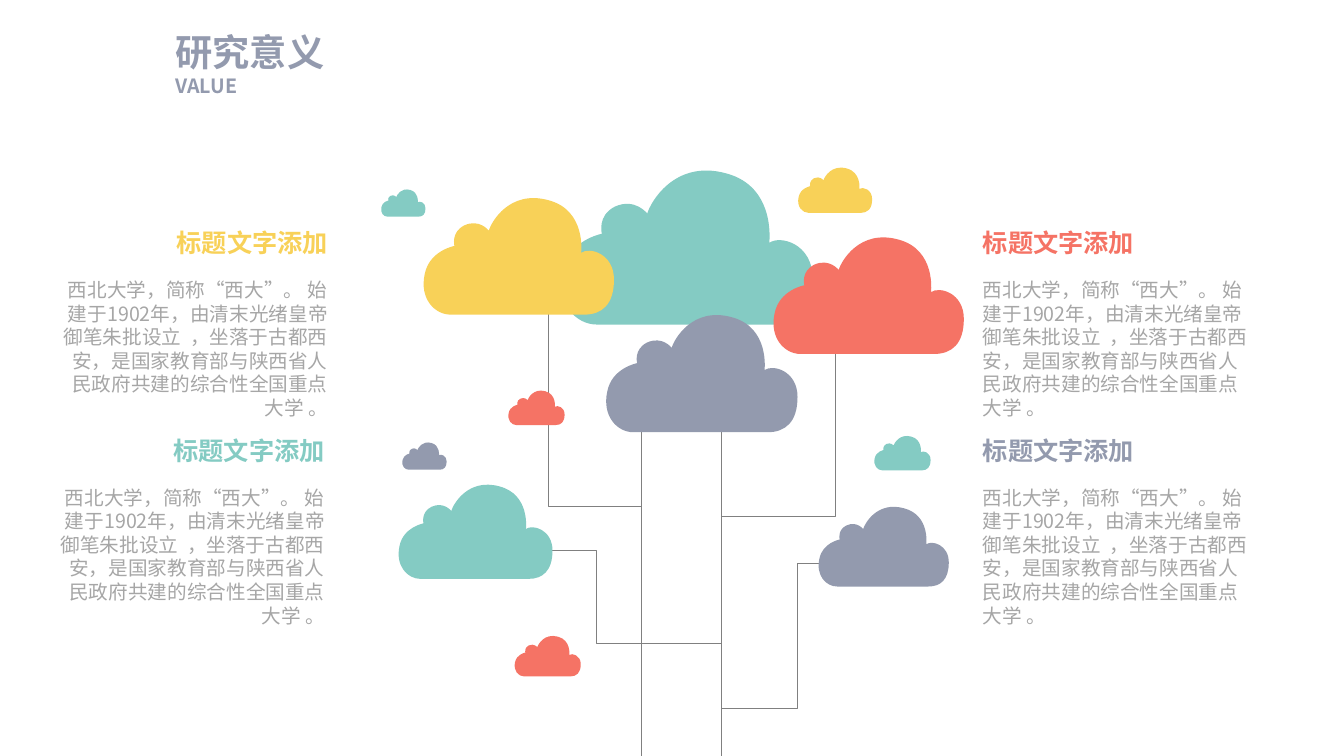
from dataclasses import dataclass

from lxml import etree
from pptx import Presentation, util as u
from pptx.dml.color import RGBColor
from pptx.enum import shapes, text
from pptx.oxml import ns

EMU_PER_PX = 9144  # 100 px to the inch
TEAL = RGBColor(0x84, 0xCB, 0xC3)
YELLOW = RGBColor(0xF8, 0xD1, 0x58)
CORAL = RGBColor(0xF5, 0x73, 0x65)
SLATE = RGBColor(0x93, 0x9A, 0xAE)
BRANCH_GRAY = RGBColor(0x80, 0x80, 0x80)
TEXT_GRAY = RGBColor(0xA6, 0xA6, 0xA6)
SANS = "Noto Sans CJK SC"
CONDENSED = "Roboto Condensed"
LINE_HEIGHT = 1.2

Point = tuple[float, float]

HEADING = "标题文字添加"
BODY = (
    "西北大学，简称“西大”。 始建于1902年，由清末光绪皇帝御笔朱批设立  ，"
    "坐落于古都西安，是国家教育部与陕西省人民政府共建的综合性全国重点大学 。"
)

# The start of a cloud, then two control points and an end point for each curve
CLOUD_WIDTH = 255
CLOUD_POINTS = [
    (41, 164),
    (68, 164), (193, 164), (216, 164),
    (239, 164), (255, 151), (255, 118),
    (255, 84), (223, 75), (212, 83),
    (212, 83), (219, 27), (169, 14),
    (118, 0), (94, 43), (91, 54),
    (91, 54), (79, 38), (59, 47),
    (41, 56), (46, 74), (46, 74),
    (46, 74), (13, 80), (7, 111),
    (0, 143), (20, 164), (41, 164),
]


@dataclass(frozen=True)
class Cloud:
    left: int
    top: int
    width: int
    color: RGBColor


@dataclass(frozen=True)
class Topic:
    left: int
    top: int
    color: RGBColor
    align: text.PP_ALIGN


TRUNK_XS = [636, 715]
TRUNK_TOP, TRUNK_BOTTOM = 421, 750
BRANCHES = [
    [(544, 289), (544, 502), (636, 502)],
    [(715, 512), (829, 512), (829, 327)],
    [(812, 559), (791, 559), (791, 703), (715, 703)],
    [(715, 638), (592, 638), (592, 546), (548, 546)],
]
CLOUDS = [
    Cloud(551, 158, 255, TEAL),
    Cloud(416, 188, 193, YELLOW),
    Cloud(790, 163, 75, YELLOW),
    Cloud(377, 186, 45, TEAL),
    Cloud(398, 437, 45, SLATE),
    Cloud(866, 430, 57, TEAL),
    Cloud(392, 474, 156, TEAL),
    Cloud(809, 497, 132, SLATE),
    Cloud(509, 628, 67, CORAL),
    Cloud(503, 385, 57, CORAL),
    Cloud(597, 304, 194, SLATE),
    Cloud(763, 227, 193, CORAL),
]
TOPICS = [
    Topic(45, 221, YELLOW, text.PP_ALIGN.RIGHT),
    Topic(42, 427, TEAL, text.PP_ALIGN.RIGHT),
    Topic(965, 221, CORAL, text.PP_ALIGN.LEFT),
    Topic(965, 427, SLATE, text.PP_ALIGN.LEFT),
]
TOPIC_WIDTH, HEADING_HEIGHT, BODY_HEIGHT = 290, 40, 151
BODY_OFFSET = 50


def px(length: float) -> u.Emu:
    return u.Emu(round(length * EMU_PER_PX))


def add_outline(slide, points: list[Point], close: bool):
    start, *rest = [(px(x), px(y)) for x, y in points]
    builder = slide.shapes.build_freeform(*start)
    builder.add_line_segments(rest, close=close)
    outline = builder.convert_to_shape()
    outline.shadow.inherit = False
    return outline


def curve_outline(outline) -> None:
    """Turn every three line segments into one cubic curve."""
    segments = list(outline._element.iter(ns.qn("a:lnTo")))
    for first, second, end in zip(segments[::3], segments[1::3], segments[2::3]):
        curve = etree.Element(ns.qn("a:cubicBezTo"))
        first.addprevious(curve)
        for segment in (first, second, end):
            curve.append(segment[0])
            segment.getparent().remove(segment)


def style_line(line) -> None:
    line.color.rgb = BRANCH_GRAY
    line.width = u.Pt(0.5)


def add_trunk(slide, x: int) -> None:
    trunk = slide.shapes.add_connector(
        shapes.MSO_CONNECTOR.STRAIGHT, px(x), px(TRUNK_TOP), px(x), px(TRUNK_BOTTOM)
    )
    style_line(trunk.line)
    etree.SubElement(trunk._element.spPr, ns.qn("a:effectLst"))


def add_branch(slide, points: list[Point]) -> None:
    branch = add_outline(slide, points, close=False)
    branch.fill.background()
    style_line(branch.line)


def add_cloud(slide, cloud: Cloud) -> None:
    scale = cloud.width / CLOUD_WIDTH
    points = [(cloud.left + x * scale, cloud.top + y * scale) for x, y in CLOUD_POINTS]
    shape = add_outline(slide, points, close=True)
    curve_outline(shape)
    shape.fill.solid()
    shape.fill.fore_color.rgb = cloud.color
    shape.line.fill.background()


def style_paragraph(
    paragraph, size: float, color: RGBColor, bold: bool, align: text.PP_ALIGN, face: str = SANS
) -> None:
    paragraph.alignment = align
    paragraph.line_spacing = u.Pt(size * LINE_HEIGHT)
    font = paragraph.font
    font.size, font.bold, font.name = u.Pt(size), bold, face
    font.color.rgb = color
    defaults = paragraph._p.pPr.find(ns.qn("a:defRPr"))
    etree.SubElement(defaults, ns.qn("a:ea"), typeface=SANS)


def add_title(slide) -> None:
    title = slide.shapes.title
    title.left, title.top, title.width, title.height = map(px, (174, 29, 149, 68))
    frame = title.text_frame
    frame.margin_left = frame.margin_top = frame.margin_right = frame.margin_bottom = 0
    frame.word_wrap = False
    frame.auto_size = text.MSO_AUTO_SIZE.NONE
    frame.vertical_anchor = text.MSO_ANCHOR.TOP
    frame.text = "研究意义\nVALUE"
    chinese, english = frame.paragraphs
    style_paragraph(chinese, 26.6, SLATE, True, text.PP_ALIGN.LEFT, CONDENSED)
    style_paragraph(english, 14, SLATE, True, text.PP_ALIGN.LEFT)


def add_topic(slide, topic: Topic) -> None:
    for words, top, height, size, color, bold in (
        (HEADING, topic.top, HEADING_HEIGHT, 18, topic.color, True),
        (BODY, topic.top + BODY_OFFSET, BODY_HEIGHT, 14, TEXT_GRAY, False),
    ):
        box = slide.shapes.add_textbox(px(topic.left), px(top), px(TOPIC_WIDTH), px(height))
        frame = box.text_frame
        frame.word_wrap = True
        frame.auto_size = text.MSO_AUTO_SIZE.SHAPE_TO_FIT_TEXT
        frame.text = words
        style_paragraph(frame.paragraphs[0], size, color, bold, topic.align)


def main() -> None:
    deck = Presentation()
    deck.slide_width, deck.slide_height = u.Inches(13.33), u.Inches(7.5)
    slide = deck.slides.add_slide(deck.slide_layouts.get_by_name("Title Only"))
    add_title(slide)
    for x in TRUNK_XS:
        add_trunk(slide, x)
    for points in BRANCHES:
        add_branch(slide, points)
    for cloud in CLOUDS:
        add_cloud(slide, cloud)
    for topic in TOPICS:
        add_topic(slide, topic)
    deck.save("out.pptx")


if __name__ == "__main__":
    main()
